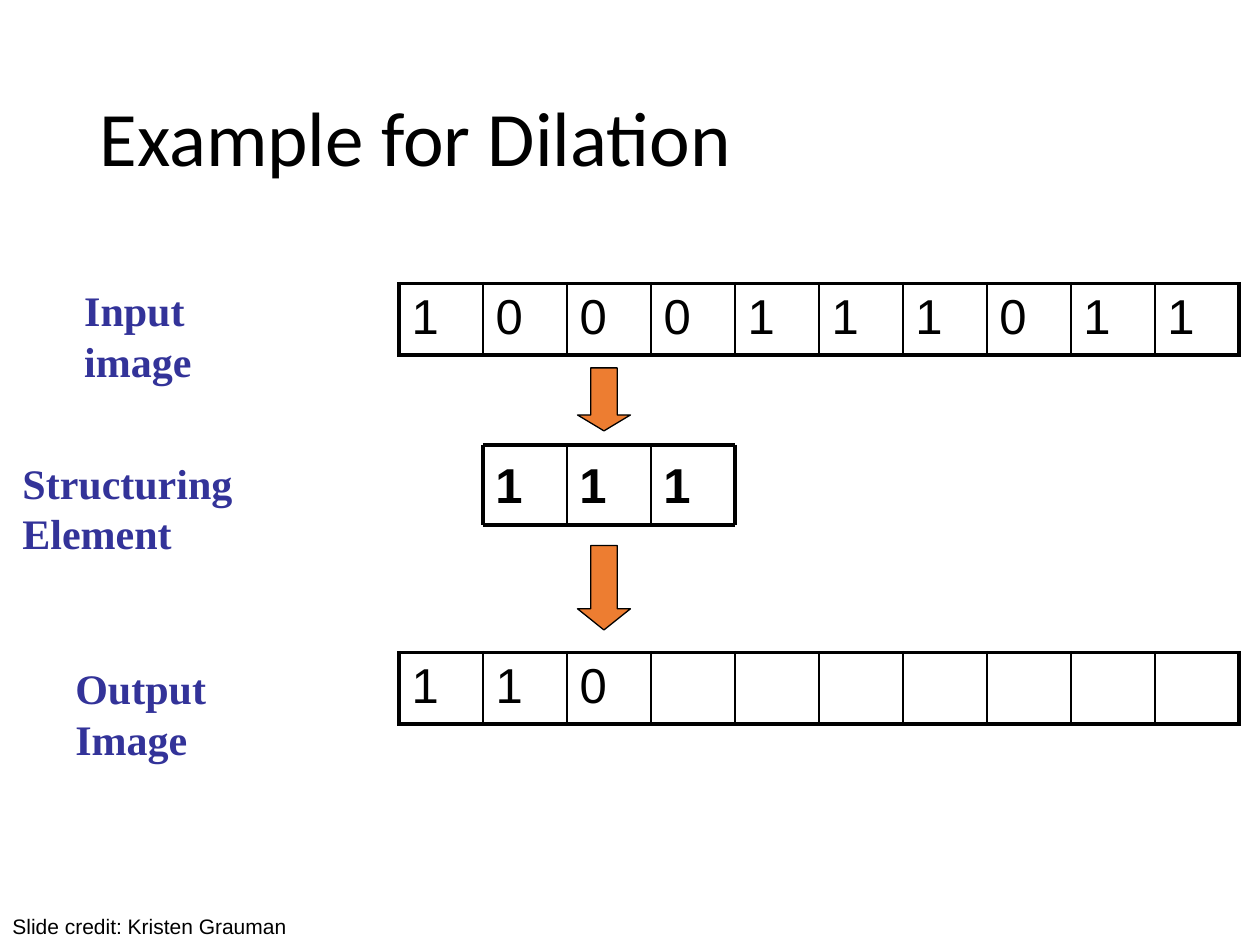
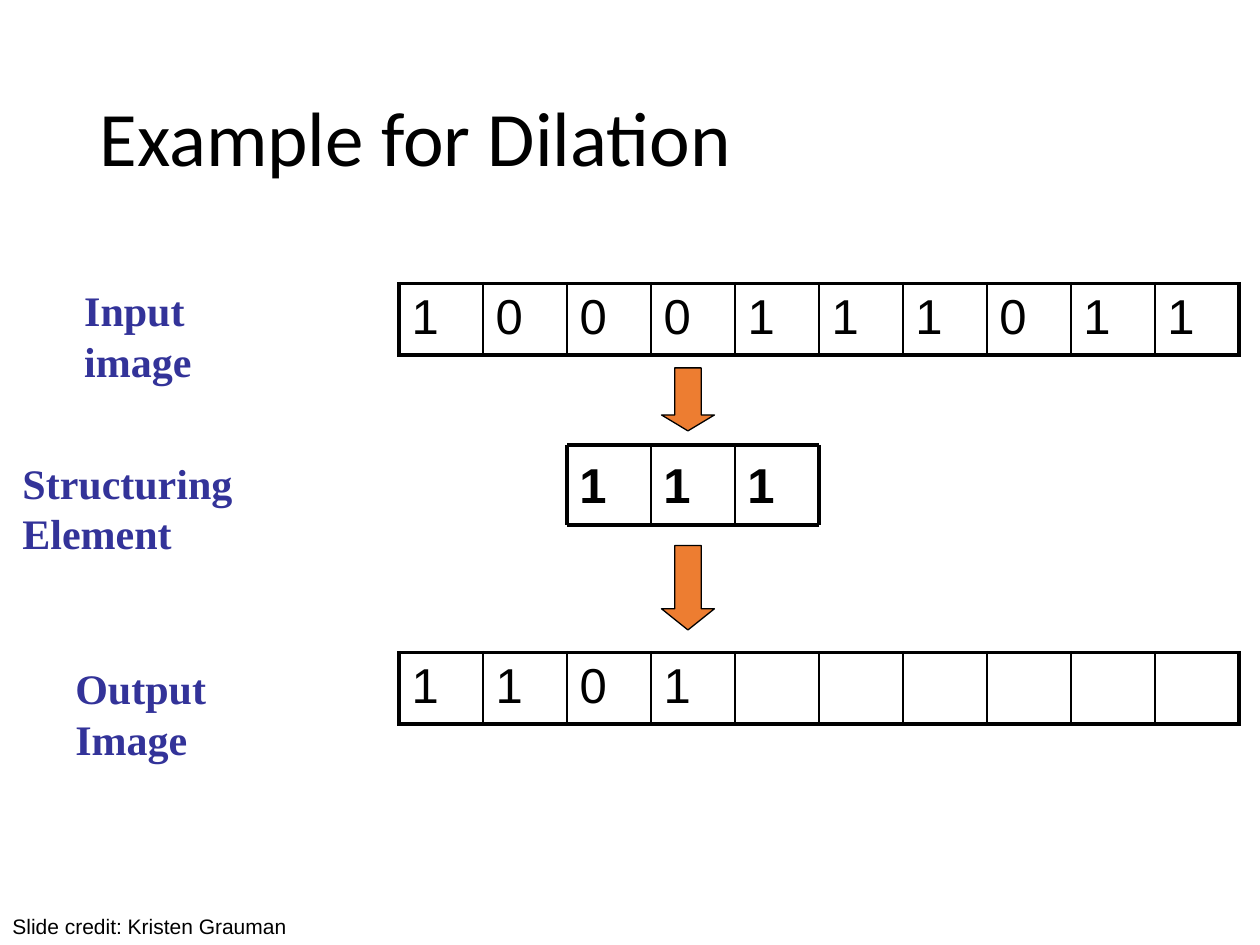
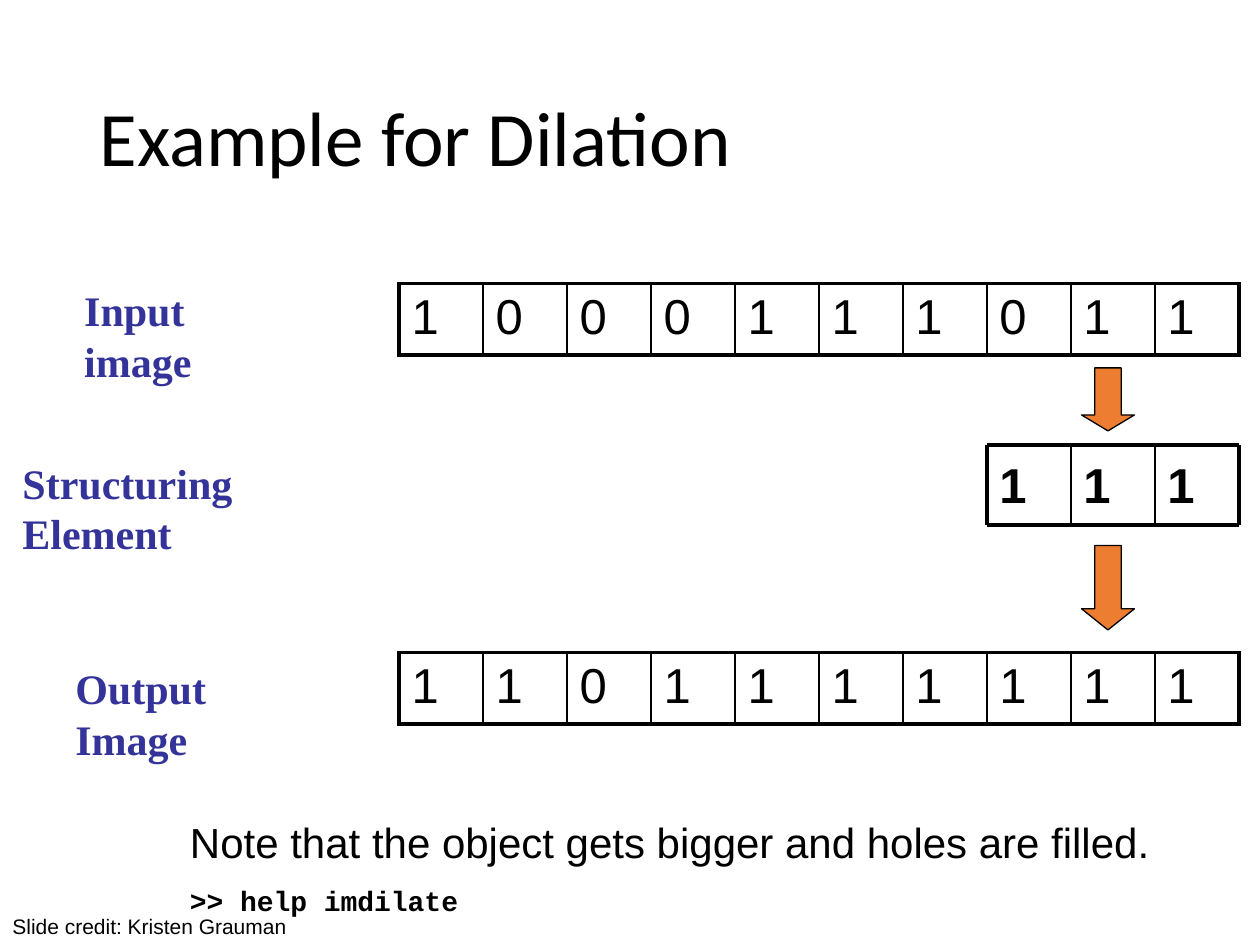
from dataclasses import dataclass

from lxml import etree
from pptx import Presentation
from pptx.dml.color import RGBColor
from pptx.enum.shapes import MSO_CONNECTOR, MSO_SHAPE
from pptx.enum.text import MSO_ANCHOR, PP_ALIGN
from pptx.oxml.ns import qn
from pptx.util import Inches, Pt

DOWN_ARROW = MSO_SHAPE.DOWN_ARROW
STRAIGHT = MSO_CONNECTOR.STRAIGHT
MIDDLE = MSO_ANCHOR.MIDDLE
LEFT = PP_ALIGN.LEFT
TITLE_ONLY = 5


@dataclass(frozen=True)
class Theme:
    ink: str = "000000"
    label: str = "333399"
    arrow: str = "ED7D31"
    title_font: str = "Calibri"
    body_font: str = "Arial"
    label_font: str = "Times New Roman"
    code_font: str = "Courier New"
    title_size: int = 44
    digit_size: int = 28
    label_size: int = 24
    code_size: int = 16
    credit_size: int = 12
    outer_line: float = 2.25
    inner_line: float = 1
    arrow_line: float = 0.75


THEME = Theme()

ROW_LEFT = 19 / 6
ROW_HEIGHT = 0.56
CELL_WIDTH = 2 / 3
ELEMENT_TOP, ELEMENT_HEIGHT = 3.53, 0.64
INPUT_BITS = "1000111011"
ELEMENT_BITS = "111"
# Index of the first pixel under the structuring element, output so far
STEPS = [(1, "110"), (2, "1101"), (7, "1101111111")]
LABELS = [
    ("Input image", 0.57, 2.21, 1.8),
    ("Structuring Element", 0.08, 3.58, 2.89),
    ("Output Image", 0.5, 5.21, 2.04),
]


def pixel_left(index):
    return ROW_LEFT + index * CELL_WIDTH


def add_run(p, text, font, size, color=THEME.ink, bold=False):
    r = p.add_run()
    r.text = text
    r.font.name = font
    r.font.size = Pt(size)
    r.font.bold = bold
    r.font.color.rgb = RGBColor.from_string(color)


def add_title(s, text):
    sp = s.shapes.title
    sp.left, sp.top, sp.width, sp.height = map(Inches, (0.69, 0.4, 8.62, 1.45))
    sp.text_frame.vertical_anchor = MIDDLE
    p = sp.text_frame.paragraphs[0]
    p.alignment = LEFT
    p.line_spacing = 0.9
    add_run(p, text, THEME.title_font, THEME.title_size)


def add_text(s, box, lines, spacing=1.0, margin_top=0.05):
    """Add a text box; each line holds the arguments of one run."""
    tf = s.shapes.add_textbox(*map(Inches, box)).text_frame
    tf.word_wrap = True
    tf.margin_top = Inches(margin_top)
    for i, line in enumerate(lines):
        p = tf.add_paragraph() if i else tf.paragraphs[0]
        p.line_spacing = spacing
        add_run(p, *line)


def set_borders(cell, widths):
    """Draw the borders, given in points in the order left, right, top, bottom."""
    tc_pr = cell._tc.get_or_add_tcPr()
    for i, (side, width) in enumerate(zip("LRTB", widths)):
        ln = etree.Element(qn(f"a:ln{side}"), w=str(Pt(width)))
        fill = etree.SubElement(ln, qn("a:solidFill"))
        etree.SubElement(fill, qn("a:srgbClr"), val=THEME.ink)
        tc_pr.insert(i, ln)


def add_pixel_row(s, bits, top):
    """Add a one-row table as long as the input; missing bits stay empty."""
    cells = len(INPUT_BITS)
    frame = s.shapes.add_table(1, cells, Inches(ROW_LEFT), Inches(top),
                               Inches(cells * CELL_WIDTH), Inches(ROW_HEIGHT))
    table = frame.table
    table.first_row = table.horz_banding = False
    outer, inner = THEME.outer_line, THEME.inner_line
    for i in range(cells):
        cell = table.cell(0, i)
        cell.fill.background()
        set_borders(cell, (outer if i == 0 else inner,
                           outer if i == cells - 1 else inner, outer, outer))
        if i < len(bits):
            add_run(cell.text_frame.paragraphs[0], bits[i], THEME.body_font,
                    THEME.digit_size)


def add_line(s, x1, y1, x2, y2, width):
    line = s.shapes.add_connector(STRAIGHT, *map(Inches, (x1, y1, x2, y2)))
    line.line.color.rgb = RGBColor.from_string(THEME.ink)
    line.line.width = Pt(width)
    etree.SubElement(line._element.spPr, qn("a:effectLst"))


def add_structuring_element(s, start):
    """Draw the element's digits and its ruled frame from pixel index start."""
    count = len(ELEMENT_BITS)
    top, bottom = ELEMENT_TOP, ELEMENT_TOP + ELEMENT_HEIGHT
    for i, bit in enumerate(ELEMENT_BITS):
        run = (bit, THEME.body_font, THEME.digit_size, THEME.ink, True)
        add_text(s, (pixel_left(start + i), top, CELL_WIDTH, ELEMENT_HEIGHT),
                 [run], margin_top=0.08)
    for y in (top, bottom):
        add_line(s, pixel_left(start), y, pixel_left(start + count), y,
                 THEME.outer_line)
    for i in range(count + 1):
        x = pixel_left(start + i)
        width = THEME.outer_line if i in (0, count) else THEME.inner_line
        add_line(s, x, top, x, bottom, width)


def add_down_arrow(s, start, top, height, head):
    sp = s.shapes.add_shape(DOWN_ARROW, Inches(pixel_left(start) + 0.75),
                            Inches(top), Inches(0.42), Inches(height))
    sp.adjustments[0], sp.adjustments[1] = 0.5, head
    sp.shadow.inherit = False
    sp.fill.solid()
    sp.fill.fore_color.rgb = RGBColor.from_string(THEME.arrow)
    sp.line.color.rgb = RGBColor.from_string(THEME.ink)
    sp.line.width = Pt(THEME.arrow_line)


def add_step(prs, start, output_bits):
    s = prs.slides.add_slide(prs.slide_layouts[TITLE_ONLY])
    add_title(s, "Example for Dilation")
    for text, left, top, width in LABELS:
        run = (text, THEME.label_font, THEME.label_size, THEME.label, True)
        add_text(s, (left, top, width, 0.5), [run])
    add_pixel_row(s, INPUT_BITS, 2.25)
    add_pixel_row(s, output_bits, 5.18)
    add_structuring_element(s, start)
    add_down_arrow(s, start, 4.33, 0.67, 0.4)
    add_down_arrow(s, start, 2.92, 0.5, 0.3)
    add_text(s, (0, 7.2, 4.58, 0.3),
             [("Slide credit: Kristen Grauman", THEME.body_font, THEME.credit_size)])
    return s


def add_conclusion(s):
    add_text(s, (1.41, 6.23, 7.9, 1.08), [
        ("Note that the object gets bigger and holes are filled.",
         THEME.body_font, THEME.label_size),
        (">> help imdilate", THEME.code_font, THEME.code_size, THEME.ink, True),
    ], spacing=1.5)


def main():
    prs = Presentation()
    prs.slide_width, prs.slide_height = Inches(10), Inches(7.5)
    for start, output_bits in STEPS:
        s = add_step(prs, start, output_bits)
    add_conclusion(s)
    prs.save("out.pptx")


if __name__ == "__main__":
    main()
